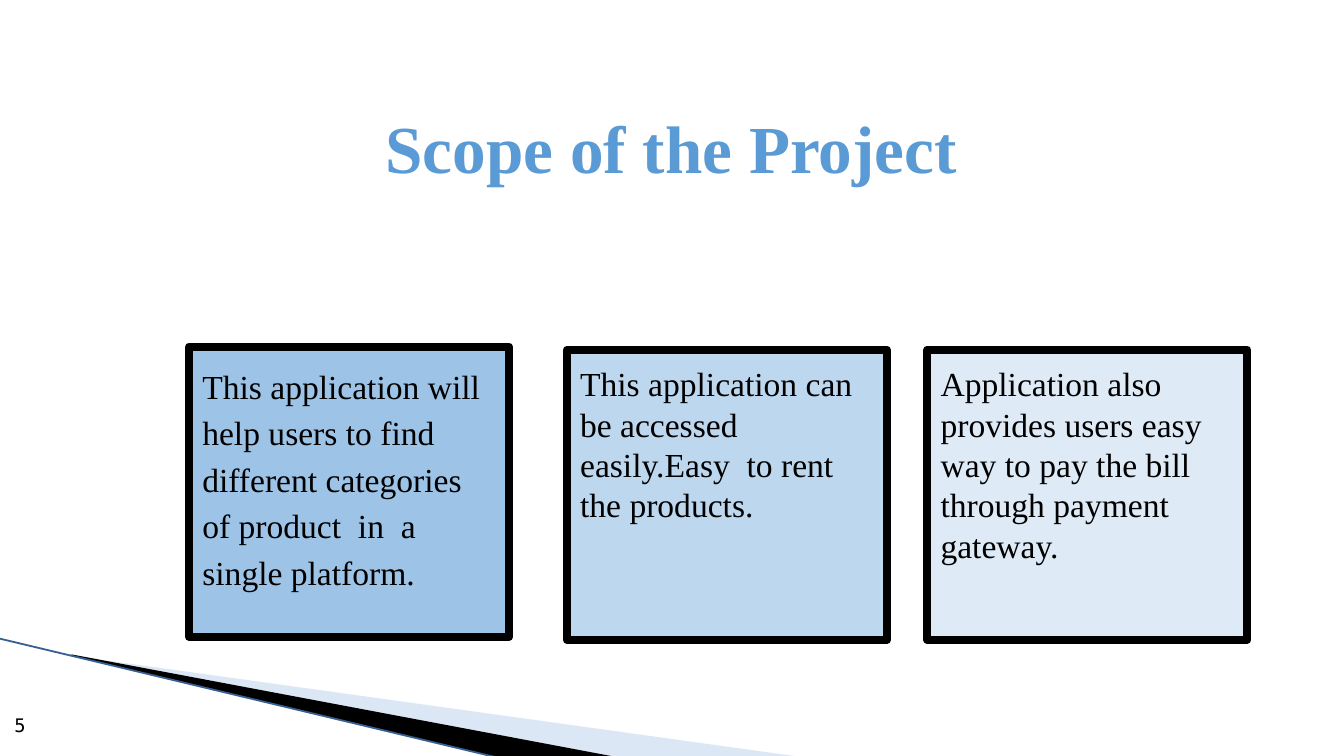
"""Build the project scope slide with three framed statements."""
from lxml.etree import SubElement as add_child
from pptx import Presentation
from pptx.dml.color import RGBColor
from pptx.enum.shapes import MSO_CONNECTOR as Connector, MSO_SHAPE as Shape
from pptx.enum.text import MSO_ANCHOR as Anchor, PP_ALIGN as Align
from pptx.oxml.ns import qn
from pptx.util import Pt

COLORS = {
    "title": "5B9BD5",
    "ink": "000000",
    "wedge": "A9C5E9",
    "edge": "376092",
}
SERIF = "Times New Roman"
MONO = "DejaVu Sans Mono"
CARD_WIDTH, CARD_HEIGHT = 171.4, 155.5
CARDS = [
    (101.3, 185.7, "9DC3E6", 1.15, 0,
     "This application will help users to find different categories of product  in  a single platform."),
    (303.7, 187.4, "BDD7EE", 1, 6,
     "This application can be accessed easily.Easy  to rent the products."),
    (496.8, 187.4, "DEEBF7", 1, 6,
     "Application also provides users easy way to pay the bill through payment gateway."),
]


def rgb(value):
    return RGBColor.from_string(value)


def place(shape, left, top, width, height):
    shape.left, shape.top = Pt(left), Pt(top)
    shape.width, shape.height = Pt(width), Pt(height)


def write(shape, text, size, font, color, align=Align.LEFT, anchor=Anchor.TOP, bold=False):
    frame = shape.text_frame
    frame.text = text
    frame.word_wrap = True
    frame.vertical_anchor = anchor
    frame.margin_left = frame.margin_right = Pt(7.2)
    frame.margin_top = frame.margin_bottom = Pt(7.2)
    para = frame.paragraphs[0]
    para.alignment = align
    span = para.runs[0]
    span.font.size = Pt(size)
    span.font.name = font
    span.font.bold = bold
    span.font.color.rgb = rgb(color)
    return para


def add_wedge(page, points, color, opacity=100):
    corners = [(Pt(x), Pt(y)) for x, y in points]
    builder = page.shapes.build_freeform(*corners[0])
    builder.add_line_segments(corners[1:], close=True)
    wedge = builder.convert_to_shape()
    wedge.shadow.inherit = False
    wedge.fill.solid()
    wedge.fill.fore_color.rgb = rgb(color)
    wedge.line.fill.background()
    if opacity < 100:
        fill_color = wedge.fill._xPr.find(f"{qn('a:solidFill')}/{qn('a:srgbClr')}")
        add_child(fill_color, qn("a:alpha"), val=str(opacity * 1000))


def add_edge(page, start, end):
    edge = page.shapes.add_connector(
        Connector.STRAIGHT, *(Pt(value) for value in start + end))
    edge.line.color.rgb = rgb(COLORS["edge"])
    edge.line.width = Pt(0.95)
    add_child(edge._element.spPr, qn("a:effectLst"))


def add_card(page, left, top, fill, spacing, before, text):
    card = page.shapes.add_shape(
        Shape.RECTANGLE, Pt(left), Pt(top), Pt(CARD_WIDTH), Pt(CARD_HEIGHT))
    card.shadow.inherit = False
    card.fill.solid()
    card.fill.fore_color.rgb = rgb(fill)
    card.line.color.rgb = rgb(COLORS["ink"])
    card.line.width = Pt(4.33)
    add_child(card.line._ln, qn("a:round"))
    para = write(card, text, 18, SERIF, COLORS["ink"])
    para.line_spacing = float(spacing)
    para.space_before = Pt(before)


def main():
    deck = Presentation()
    deck.slide_width, deck.slide_height = Pt(720), Pt(405)
    page = deck.slides.add_slide(deck.slide_layouts[5])

    add_wedge(page, [(39.6, 351.4), (428.4, 405.4), (328.3, 405.4)], COLORS["wedge"], 40)
    add_wedge(page, [(38.2, 350.6), (329, 405.4), (267.8, 406), (38.9, 351.4)], COLORS["ink"])
    add_edge(page, (-0.7, 342), (267, 406))

    title = page.shapes.title
    place(title, 90, 56.2, 539.3, 51.1)
    write(title, "Scope of the Project", 36, SERIF, COLORS["title"],
          Align.CENTER, Anchor.BOTTOM, True)

    for card in CARDS:
        add_card(page, *card)

    number = page.shapes.add_textbox(Pt(0.7), Pt(376.6), Pt(43.2), Pt(28.1))
    write(number, "5", 10, MONO, COLORS["ink"])
    deck.save("out.pptx")


if __name__ == "__main__":
    main()
